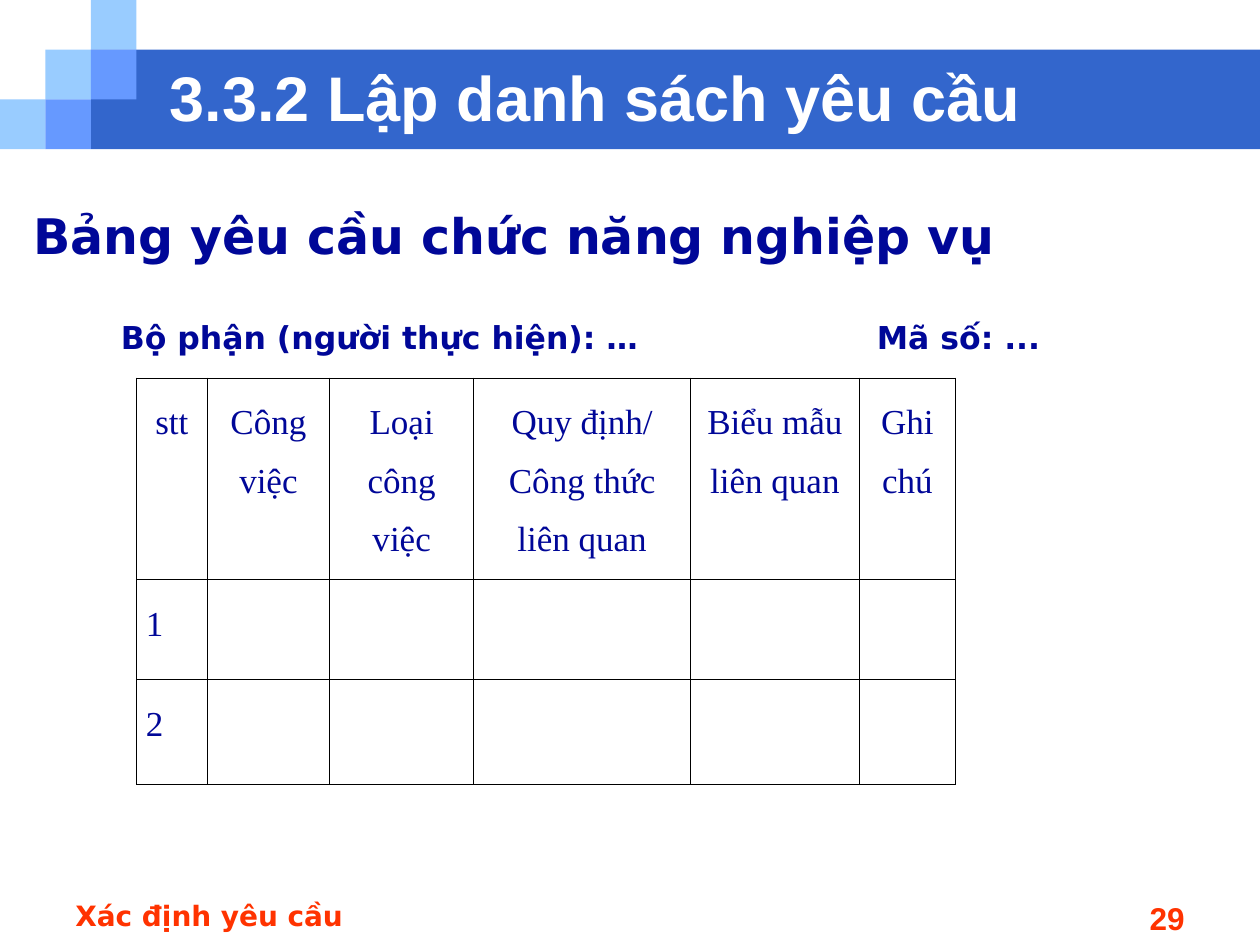
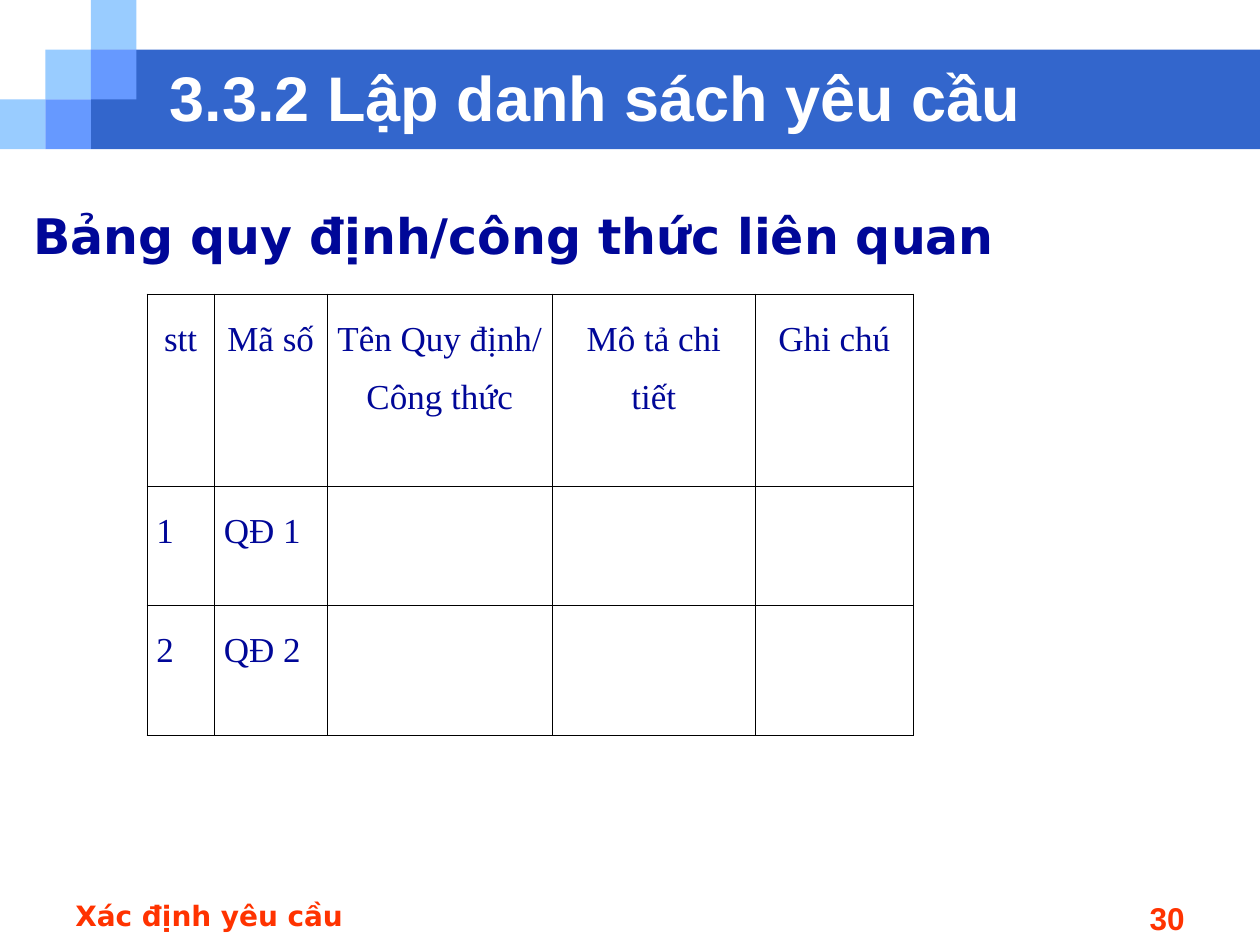
import collections

import pptx
import pptx.dml.color
import pptx.enum.shapes
import pptx.enum.text
import pptx.oxml
import pptx.oxml.ns
import pptx.util

Pt = pptx.util.Pt
RGBColor = pptx.dml.color.RGBColor
ALIGN = pptx.enum.text.PP_ALIGN
ANCHOR = pptx.enum.text.MSO_ANCHOR
Box = collections.namedtuple("Box", "left top width height")

WHITE = RGBColor(0xFF, 0xFF, 0xFF)
BAND_BLUE = RGBColor(0x33, 0x66, 0xCC)
LIGHT_BLUE = RGBColor(0x99, 0xCC, 0xFF)
MID_BLUE = RGBColor(0x66, 0x99, 0xFF)
NAVY = RGBColor(0x00, 0x07, 0x98)
ORANGE = RGBColor(0xFF, 0x33, 0x00)
BORDER_COLOR = RGBColor(0x00, 0x00, 0x00)
BORDER_WIDTH = 0.45

# Text styles
TITLE = {"name": "Arial", "size": Pt(36), "bold": True, "color": WHITE}
HEADING = {"name": "DejaVu Sans", "size": Pt(28), "bold": True, "color": NAVY}
FORM_LINE = {**HEADING, "size": Pt(18)}
FOOTER = {**HEADING, "size": Pt(16), "color": ORANGE}
PAGE_NUMBER = {**TITLE, "size": Pt(18), "color": ORANGE}
CELL = {"name": "Times New Roman", "size": Pt(20), "bold": False, "color": NAVY}
CELL_PARAGRAPH = {"line_spacing": 1.5, "space_after": Pt(6)}

# Regions
SLIDE_WIDTH, SLIDE_HEIGHT = 720, 540
HEADER_BOX = Box(0, 0, SLIDE_WIDTH, 85.2)
HEADING_BOX = Box(12, 114, 699, 50)
FORM_BOX = Box(62, 178, 640, 32)
FOOTER_BOX = Box(36, 510, 648, 25)
CODE_TAB = 432


def points(*lengths):
    return [Pt(length) for length in lengths]


def write(paragraph, text, style):
    run = paragraph.add_run()
    run.text = text
    for attribute, value in style.items():
        if attribute == "color":
            run.font.color.rgb = value
        else:
            setattr(run.font, attribute, value)


def add_text(slide, box, text, style, align=ALIGN.LEFT, anchor=ANCHOR.TOP, tab=None):
    frame = slide.shapes.add_textbox(*points(*box)).text_frame
    frame.word_wrap = True
    frame.vertical_anchor = anchor
    paragraph = frame.paragraphs[0]
    paragraph.alignment = align
    if tab:
        properties = paragraph._p.get_or_add_pPr()
        properties.append(pptx.oxml.parse_xml(
            f'<a:tabLst {pptx.oxml.ns.nsdecls("a")}>'
            f'<a:tab pos="{Pt(tab)}" algn="l"/></a:tabLst>'))
    write(paragraph, text, style)


def add_block(slide, box, color):
    block = slide.shapes.add_shape(
        pptx.enum.shapes.MSO_SHAPE.RECTANGLE, *points(*box))
    block.shadow.inherit = False
    block.fill.solid()
    block.fill.fore_color.rgb = color
    block.line.fill.background()


def add_header(slide, box, title):
    # The band covers the lower two rows of a three-row grid of steps
    step_width, step_height = 26, box.height / 3
    band_left = box.left + 2 * step_width
    add_block(slide, Box(band_left, box.top + step_height,
                         box.width - 2 * step_width, 2 * step_height), BAND_BLUE)
    steps = {LIGHT_BLUE: [(0, 2), (1, 1), (2, 0)], MID_BLUE: [(2, 1), (1, 2)]}
    for color, places in steps.items():
        for column, row in places:
            add_block(slide, Box(box.left + column * step_width,
                                 box.top + row * step_height,
                                 step_width, step_height), color)
    add_text(slide, Box(box.left + 90, box.top + 36, 582, 38), title, TITLE,
             anchor=ANCHOR.MIDDLE)


def add_footer(slide, box, topic, number):
    add_text(slide, Box(box.left, box.top, 228, box.height), topic, FOOTER)
    number_width = 168
    add_text(slide, Box(box.left + box.width - number_width, box.top,
                        number_width, box.height),
             str(number), PAGE_NUMBER, align=ALIGN.RIGHT)


def add_borders(cell):
    properties = cell._tc.get_or_add_tcPr()
    for position, side in enumerate(("lnL", "lnR", "lnT", "lnB")):
        properties.insert(position, pptx.oxml.parse_xml(
            f'<a:{side} {pptx.oxml.ns.nsdecls("a")} w="{Pt(BORDER_WIDTH)}">'
            f'<a:solidFill><a:srgbClr val="{BORDER_COLOR}"/></a:solidFill></a:{side}>'))


def add_form_table(slide, left, top, widths, heights, rows):
    box = Box(left, top, sum(widths), sum(heights))
    table = slide.shapes.add_table(
        len(heights), len(widths), *points(*box)).table
    for column, width in zip(table.columns, widths):
        column.width = Pt(width)
    for row, height in zip(table.rows, heights):
        row.height = Pt(height)
    margins = {"margin_left": 5.4, "margin_right": 5.4,
               "margin_top": 3.6, "margin_bottom": 3.6}
    for row_index, row in enumerate(table.rows):
        for column_index, cell in enumerate(row.cells):
            for attribute, value in margins.items():
                setattr(cell, attribute, Pt(value))
            cell.fill.background()
            add_borders(cell)
            if column_index >= len(rows[row_index]):
                continue
            paragraph = cell.text_frame.paragraphs[0]
            for attribute, value in CELL_PARAGRAPH.items():
                setattr(paragraph, attribute, value)
            paragraph.alignment = ALIGN.LEFT if row_index else ALIGN.CENTER
            write(paragraph, rows[row_index][column_index], CELL)


def add_form_slide(deck, number, heading, table, form_line=None):
    slide = deck.slides.add_slide(deck.slide_layouts[6])
    add_header(slide, HEADER_BOX, "3.3.2 Lập danh sách yêu cầu")
    add_text(slide, HEADING_BOX, heading, HEADING)
    if form_line:
        add_text(slide, FORM_BOX, form_line, FORM_LINE, tab=CODE_TAB)
    add_footer(slide, FOOTER_BOX, "Xác định yêu cầu", number)
    add_form_table(slide, **table)


def main():
    deck = pptx.Presentation()
    deck.slide_width, deck.slide_height = points(SLIDE_WIDTH, SLIDE_HEIGHT)

    # Business function requirements
    add_form_slide(
        deck, 29, "Bảng yêu cầu chức năng nghiệp vụ",
        {"left": 78, "top": 216,
         "widths": [40.5, 69.8, 82.5, 123.8, 96.6, 54.8],
         "heights": [110.5, 57, 60.2],
         "rows": [["stt", "Công việc", "Loại công việc",
                   "Quy định/ Công thức liên quan", "Biểu mẫu liên quan", "Ghi chú"],
                  ["1"], ["2"]]},
        form_line="Bộ phận (người thực hiện): …\tMã số: ...")

    # Related rules and formulas
    add_form_slide(
        deck, 30, "Bảng quy định/công thức liên quan",
        {"left": 84, "top": 168,
         "widths": [38.5, 64.4, 128.8, 116, 90.2],
         "heights": [110, 68, 74.2],
         "rows": [["stt", "Mã số", "Tên Quy định/ Công thức",
                   "Mô tả chi tiết", "Ghi chú"],
                  ["1", "QĐ 1"], ["2", "QĐ 2"]]})

    deck.save("out.pptx")


if __name__ == "__main__":
    main()
